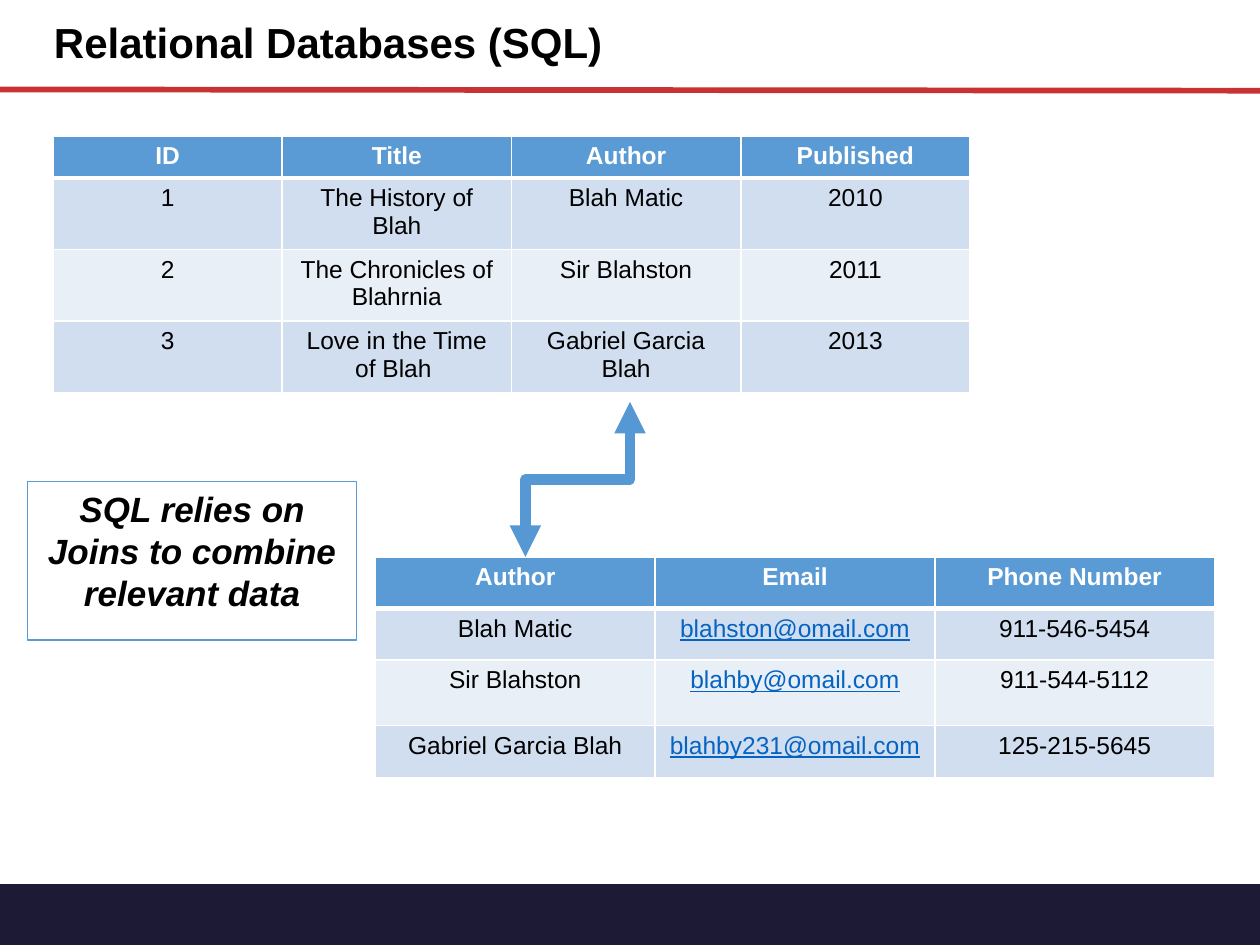
import pptx
import pptx.util
import pptx.dml.color
import pptx.enum.shapes
import pptx.enum.text
import pptx.oxml
import pptx.oxml.ns

Inches = pptx.util.Inches
Pt = pptx.util.Pt
RGBColor = pptx.dml.color.RGBColor
Shape = pptx.enum.shapes.MSO_SHAPE
Link = pptx.enum.shapes.MSO_CONNECTOR
Align = pptx.enum.text.PP_ALIGN
Anchor = pptx.enum.text.MSO_ANCHOR

BLACK = RGBColor(0x00, 0x00, 0x00)
WHITE = RGBColor(0xFF, 0xFF, 0xFF)
NAVY = RGBColor(0x1D, 0x1A, 0x36)
RED = RGBColor(0xC8, 0x32, 0x32)
BLUE = RGBColor(0x5B, 0x9B, 0xD5)
ARROW = RGBColor(0x56, 0x98, 0xD3)
MAIL = RGBColor(0x05, 0x63, 0xC1)
BANDS = [RGBColor(0xE9, 0xEF, 0xF7), RGBColor(0xD1, 0xDE, 0xEF)]


class Page:
    font = "Arial"
    thin = 0.96
    thick = 3

    def __init__(self, slide):
        self.slide = slide

    def words(self, frame, text, size, color=BLACK, para=None, **style):
        part = frame.paragraphs[0]
        for name, value in (para or {}).items():
            setattr(part, name, value)
        run = part.add_run()
        run.text = text
        run.font.color.rgb = color
        for name, value in {"name": self.font, "size": Pt(size), **style}.items():
            setattr(run.font, name, value)

    def text(self, spot, text, size, **style):
        frame = self.slide.shapes.add_textbox(*map(Inches, spot)).text_frame
        frame.word_wrap = True
        frame.vertical_anchor = Anchor.MIDDLE
        self.words(frame, text, size, **style)

    def shape(self, kind, spot, fill=None, line=None):
        shape = self.slide.shapes.add_shape(kind, *map(Inches, spot))
        shape.shadow.inherit = False
        for paint, color in ((shape.fill, fill), (shape.line.fill, line)):
            if color is None:
                paint.background()
            else:
                paint.solid()
                paint.fore_color.rgb = color
        return shape

    def note(self, spot, text, size, line, **style):
        shape = self.shape(Shape.RECTANGLE, spot, line=line)
        shape.line.width = Pt(0.75)
        frame = shape.text_frame
        frame.word_wrap = True
        frame.vertical_anchor = Anchor.TOP
        self.words(frame, text, size, **style)

    def line(self, kind, ends, color, width, turn=0, heads=()):
        line = self.slide.shapes.add_connector(kind, *map(Inches, ends))
        line.line.color.rgb = color
        line.line.width = Pt(width)
        props = line._element.spPr
        if turn:
            props.xfrm.set("rot", str(turn * 60000))
        for head in heads:
            props.ln.append(self.node(f'<a:{head} %s type="triangle"/>'))
        props.append(self.node("<a:effectLst %s/>"))

    def node(self, xml):
        return pptx.oxml.parse_xml(xml % pptx.oxml.ns.nsdecls("a"))

    def edge(self, cell, row):
        props = cell._tc.get_or_add_tcPr()
        heavy = {"T": row == 1, "B": row == 0}
        for spot, side in enumerate("LRTB"):
            width = Pt(self.thick if heavy.get(side) else self.thin)
            props.insert(spot, self.node(
                f'<a:ln{side} %s w="{width}"><a:solidFill>'
                f'<a:srgbClr val="{WHITE}"/></a:solidFill></a:ln{side}>'))

    def table(self, spot, wide, highs, rows):
        count = len(rows[0])
        size = (wide * count, sum(highs))
        grid = self.slide.shapes.add_table(
            len(rows), count, *map(Inches, spot + size)).table
        for col in grid.columns:
            col.width = Inches(wide)
        for r, (high, row) in enumerate(zip(highs, rows)):
            grid.rows[r].height = Inches(high)
            for c, text in enumerate(row):
                cell = grid.cell(r, c)
                cell.fill.solid()
                cell.fill.fore_color.rgb = BANDS[r % 2] if r else BLUE
                self.edge(cell, r)
                mail = "@" in text
                color = MAIL if mail else BLACK if r else WHITE
                self.words(cell.text_frame, text, 14, color,
                           {"alignment": Align.CENTER},
                           bold=r == 0, underline=mail)


deck = pptx.Presentation()
deck.slide_width = Inches(10)
deck.slide_height = Inches(7.5)
page = Page(deck.slides.add_slide(deck.slide_layouts[6]))

page.shape(Shape.FLOWCHART_PROCESS, (0, 7.02, 10.01, 0.5), fill=NAVY)
page.line(Link.STRAIGHT, (0, 0.71, 10, 0.72), RED, 3.26)
page.text((0.33, 0, 5.98, 0.71), "Relational Databases (SQL)", 24,
          para={"line_spacing": 0.9}, bold=True)

page.table((0.42, 1.08), 1.82, [0.32, 0.54, 0.54, 0.54], [
    ["ID", "Title", "Author", "Published"],
    ["1", "The History of Blah", "Blah Matic", "2010"],
    ["2", "The Chronicles of Blahrnia", "Sir Blahston", "2011"],
    ["3", "Love in the Time of Blah ", "Gabriel Garcia Blah", "2013"],
])
page.table((2.98, 4.42), 2.22, [0.41, 0.41, 0.52, 0.41], [
    ["Author", "Email", "Phone Number"],
    ["Blah Matic", "blahston@omail.com", "911-546-5454"],
    ["Sir Blahston", "blahby@omail.com", "911-544-5112"],
    ["Gabriel Garcia Blah", "blahby231@omail.com", "125-215-5645"],
])

page.line(Link.ELBOW, (3.97, 3.39, 5.2, 4.22), ARROW, 6.01,
          turn=90, heads=("headEnd", "tailEnd"))
page.note((0.22, 3.82, 2.61, 1.26),
          "SQL relies on Joins to combine relevant data", 20, BLUE,
          para={"alignment": Align.CENTER, "space_before": Pt(4)},
          bold=True, italic=True)

deck.save("out.pptx")
